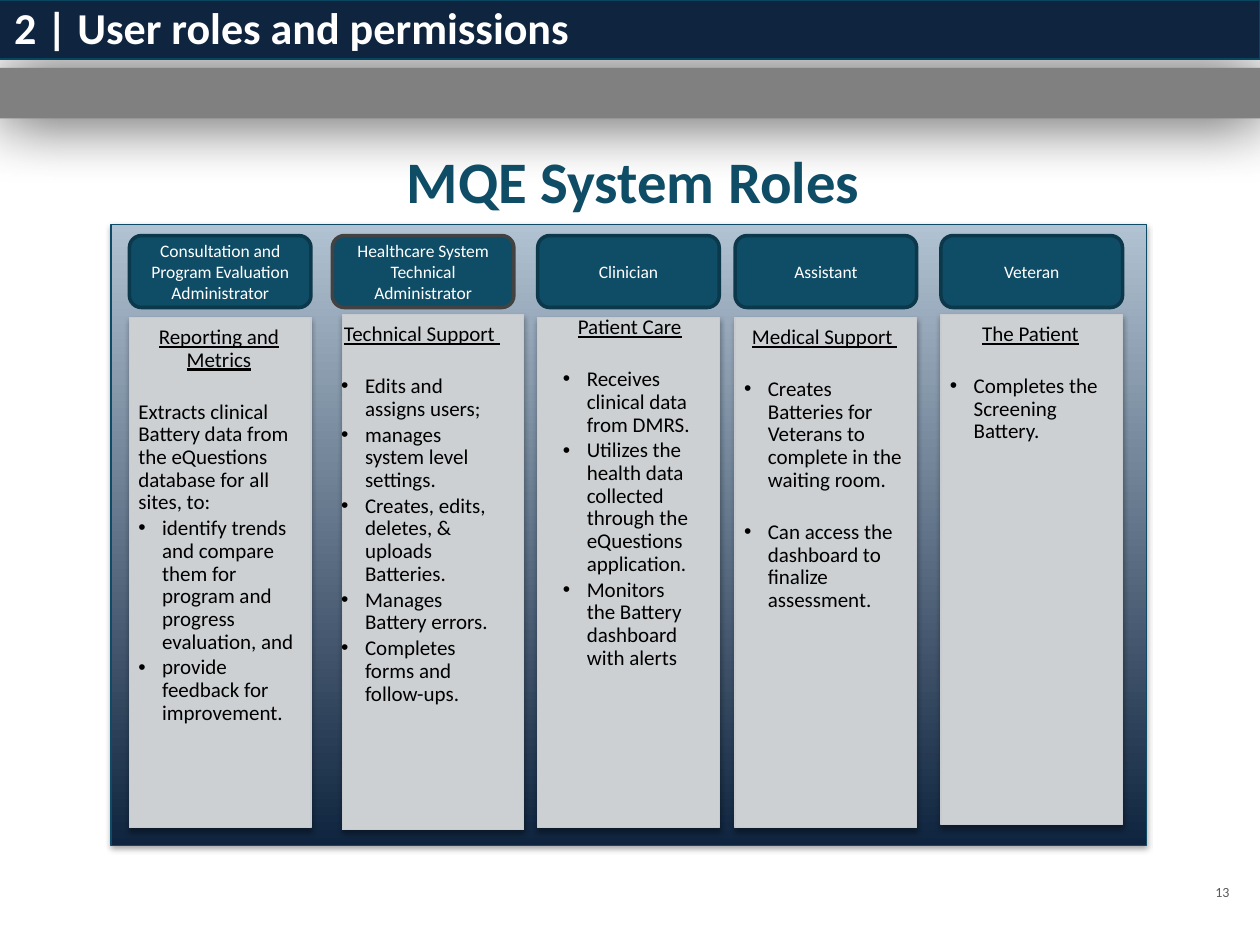
"""Build the slide on user roles and permissions."""
from dataclasses import dataclass
from typing import Any, NamedTuple, Optional

from lxml import etree
from pptx import Presentation
from pptx import util as u
from pptx.dml.color import RGBColor
from pptx.enum import shapes, text
from pptx.oxml import ns

NAVY = RGBColor(0x0F, 0x24, 0x3E)
TEAL = RGBColor(0x0F, 0x4C, 0x66)
DARK_TEAL = RGBColor(0x0B, 0x38, 0x4B)
BAR_EDGE = RGBColor(0x08, 0x46, 0x60)
BOARD_EDGE = RGBColor(0x0D, 0x4B, 0x66)
MIST = RGBColor(0xB1, 0xC2, 0xD2)
PANEL = RGBColor(0xCC, 0xD0, 0xD3)
PANEL_EDGE = RGBColor(0xC7, 0xCB, 0xCF)
GRAY = RGBColor(0x80, 0x80, 0x80)
CHARCOAL = RGBColor(0x42, 0x42, 0x42)
PAGE_GRAY = RGBColor(0x59, 0x59, 0x59)
WHITE = RGBColor(0xFF, 0xFF, 0xFF)
BLACK = RGBColor(0, 0, 0)

RECT = shapes.MSO_SHAPE.RECTANGLE
ROUNDED = shapes.MSO_SHAPE.ROUNDED_RECTANGLE
LEFT, CENTER, RIGHT = text.PP_ALIGN.LEFT, text.PP_ALIGN.CENTER, text.PP_ALIGN.RIGHT
TOP, MIDDLE = text.MSO_ANCHOR.TOP, text.MSO_ANCHOR.MIDDLE

COLUMN_WIDTH = 3.66
ITEM_GAP, BLOCK_GAP = 1.8, 16.8
BODY_INSETS = {"margin_left": u.Cm(0.18), "margin_top": u.Cm(0.18),
               "margin_right": u.Cm(0.23), "margin_bottom": u.Cm(0.25)}


class Area(NamedTuple):
    left: float
    top: float
    width: float
    height: float

    def lengths(self) -> list:
        return [u.Cm(value) for value in self]


class Shadow(NamedTuple):
    alpha: int
    blur: float
    distance: float


class Item(NamedTuple):
    words: str
    bullet: bool = True
    gap: float = ITEM_GAP


@dataclass
class Column:
    role: str
    left: float
    panel: Area
    body: Area
    heading: str
    items: list[Item]
    edge: RGBColor = DARK_TEAL


SOFT = Shadow(35, 3.1, 1.8)
DEEP = Shadow(72, 38, 1)


def column_area(left: float, top: float = 6.4, height: float = 10.29) -> Area:
    return Area(left, top, COLUMN_WIDTH, height)


COLUMNS = [
    Column("Consultation and Program Evaluation Administrator", 2.61,
           column_area(2.61), column_area(2.61), "Reporting and Metrics",
           [Item("Extracts clinical Battery data from the eQuestions database "
                 "for all sites, to:", bullet=False),
            Item("identify trends and compare them for program and progress evaluation, and"),
            Item("provide feedback for improvement.")]),
    Column("Clinician", 10.84, column_area(10.84), Area(11.17, 6.2, 3.1, 10.49),
           "Patient Care",
           [Item("Receives clinical data from DMRS."),
            Item("Utilizes the health data collected through the eQuestions application."),
            Item("Monitors the Battery dashboard with alerts")]),
    Column("Assistant", 14.82, column_area(14.82), column_area(14.82), "Medical Support ",
           [Item("Creates Batteries for Veterans to complete in the waiting room.",
                 gap=BLOCK_GAP),
            Item("Can access the dashboard to finalize assessment.")]),
    Column("Veteran", 18.97, column_area(18.97, 6.34), column_area(18.97, 6.34),
           "The Patient", [Item("Completes the Screening Battery.")]),
    Column("Healthcare System Technical Administrator", 6.7,
           column_area(6.9, 6.34, 10.39), column_area(6.7, 6.34, 10.39),
           "Technical Support ",
           [Item("Edits and assigns users;"),
            Item("manages system level settings."),
            Item("Creates, edits, deletes, & uploads Batteries."),
            Item("Manages Battery errors."),
            Item("Completes forms and follow-ups.")], CHARCOAL),
]


def apply(target: Any, values: dict) -> None:
    for name, value in values.items():
        setattr(target, name, value)


def child(parent: Any, tag: str, **attributes: Any) -> Any:
    return etree.SubElement(parent, ns.qn(tag), {k: str(v) for k, v in attributes.items()})


def add_shadow(box: Any, shadow: Shadow) -> None:
    effects = box.element.spPr.find(ns.qn("a:effectLst"))
    outer = child(effects, "a:outerShdw", blurRad=u.Pt(shadow.blur),
                  dist=u.Pt(shadow.distance), dir=90 * 60000, algn="ctr", rotWithShape=0)
    child(child(outer, "a:srgbClr", val=BLACK), "a:alpha", val=shadow.alpha * 1000)


def add_box(page: Any, area: Area, fill: Optional[RGBColor], edge: Optional[RGBColor] = None,
            width: float = 0.75, kind: Any = RECT, shadow: Optional[Shadow] = None) -> Any:
    box = page.shapes.add_shape(kind, *area.lengths())
    box.shadow.inherit = False
    if fill is None:
        box.fill.gradient()
        box.fill.gradient_angle = 90
        for stop, color in zip(box.fill.gradient_stops, (NAVY, MIST)):
            stop.color.rgb = color
    else:
        box.fill.solid()
        box.fill.fore_color.rgb = fill
    if edge is None:
        box.line.fill.background()
    else:
        box.line.color.rgb = edge
        box.line.width = u.Pt(width)
    if shadow:
        add_shadow(box, shadow)
    return box


def write(para: Any, words: str, size: float, color: RGBColor, align: Any = LEFT,
          spacing: float = 1.0, after: float = 0, **font: bool) -> None:
    span = para.add_run()
    span.text = words
    apply(para, {"alignment": align, "line_spacing": spacing,
                 "space_before": u.Pt(0), "space_after": u.Pt(after)})
    apply(span.font, {"name": "Calibri", "size": u.Pt(size), **font})
    span.font.color.rgb = color


def set_frame(box: Any, anchor: Any, **margins: Any) -> Any:
    apply(box.text_frame, {"word_wrap": True, "auto_size": text.MSO_AUTO_SIZE.NONE,
                           "vertical_anchor": anchor, **margins})
    return box.text_frame


def add_label(page: Any, area: Area, words: str, size: float, color: RGBColor,
              align: Any, anchor: Any, **font: bool) -> None:
    frame = set_frame(page.shapes.add_textbox(*area.lengths()), anchor)
    write(frame.paragraphs[0], words, size, color, align, **font)


def add_bullet(para: Any) -> None:
    properties = para._p.get_or_add_pPr()
    indent = u.Cm(0.48)
    properties.set("marL", str(indent))
    properties.set("indent", str(-indent))
    child(properties, "a:buFont", typeface="Arial")
    child(properties, "a:buChar", char="•")


def add_column(page: Any, column: Column) -> None:
    pill = add_box(page, Area(column.left, 4.75, COLUMN_WIDTH, 1.45), TEAL,
                   column.edge, 2, ROUNDED)
    write(set_frame(pill, MIDDLE).paragraphs[0], column.role, 10, WHITE, CENTER)
    add_box(page, column.panel, PANEL, PANEL_EDGE, shadow=SOFT)
    frame = set_frame(page.shapes.add_textbox(*column.body.lengths()), TOP, **BODY_INSETS)
    write(frame.paragraphs[0], column.heading, 12, BLACK, CENTER, 0.9, BLOCK_GAP,
          underline=True)
    for item in column.items:
        para = frame.add_paragraph()
        write(para, item.words, 12, BLACK, spacing=0.9, after=item.gap)
        if item.bullet:
            add_bullet(para)


def add_title(page: Any, words: str) -> None:
    title = page.shapes.title
    area = Area(0.03, 0.08, 24.46, 0.99)
    apply(title, dict(zip(("left", "top", "width", "height"), area.lengths())))
    write(set_frame(title, TOP).paragraphs[0], words, 25.2, WHITE, spacing=0.8, bold=True)
    page.shapes.element.append(title.element)


def main() -> None:
    deck = Presentation()
    apply(deck, {"slide_width": u.Cm(25.4), "slide_height": u.Cm(19.05)})
    page = deck.slides.add_slide(deck.slide_layouts[5])
    add_box(page, Area(0, 1.37, 25.43, 1.02), GRAY, shadow=DEEP)
    add_box(page, Area(-0.03, 0, 25.43, 1.19), NAVY, BAR_EDGE)
    add_box(page, Area(2.24, 4.52, 20.88, 12.52), None, BOARD_EDGE, shadow=SOFT)
    for column in COLUMNS:
        add_column(page, column)
    add_label(page, Area(23.77, 17.48, 1.27, 1.02), "13", 8, PAGE_GRAY, RIGHT, MIDDLE)
    add_label(page, Area(1.88, 2.79, 21.77, 1.5), "MQE System Roles", 33.6, TEAL,
              CENTER, TOP, bold=True)
    add_title(page, "2 | User roles and permissions")
    deck.save("out.pptx")


if __name__ == "__main__":
    main()
